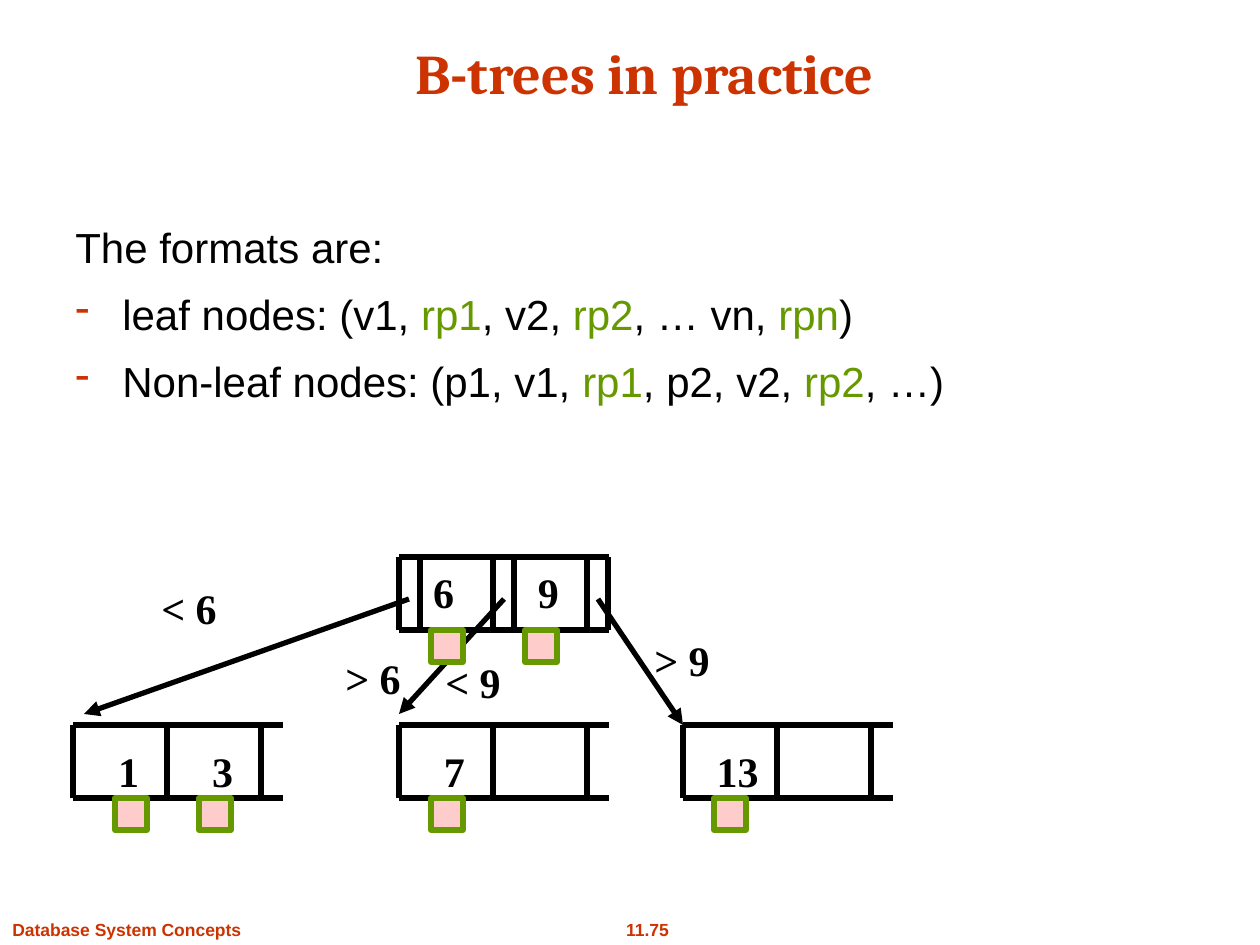
from lxml import etree
from pptx import Presentation
from pptx.dml.color import RGBColor
from pptx.enum.shapes import MSO_CONNECTOR, MSO_SHAPE
from pptx.enum.text import MSO_ANCHOR, PP_ALIGN
from pptx.oxml.ns import qn
from pptx.util import Emu, Pt

LINE, RECT = MSO_CONNECTOR.STRAIGHT, MSO_SHAPE.RECTANGLE
LEFT, MID = PP_ALIGN.LEFT, PP_ALIGN.CENTER
TOP, LOW = MSO_ANCHOR.TOP, MSO_ANCHOR.BOTTOM
SCALE = 914400 / 126
RED, GREEN, BLACK, PINK = "CC3300", "669900", "000000", "FFCCCC"
SERIF = "Times New Roman"
NODE_W, NODE_H, CELL, SLOT = 210, 73, 94, 21


def px(n):
    return Emu(round(n * SCALE))


def color(code):
    return RGBColor.from_string(code)


def style(font, name, size, code, bold):
    font.name, font.size, font.bold = name, Pt(size), bold
    font.color.rgb = color(code)


def frame(box, inset=6, wrap=False, anchor=TOP):
    text = slide.shapes.add_textbox(*map(px, box)).text_frame
    text.word_wrap, text.vertical_anchor = wrap, anchor
    text.margin_top, text.margin_bottom = px(inset), px(0 if inset > 6 else 6)
    return text


def label(box, words, size=24, name=SERIF, code=BLACK, align=MID):
    para = frame(box, 6 + size // 5).paragraphs[0]
    para.text, para.alignment = words, align
    style(para.font, name, size, code, True)


def title(box, words):
    para = frame(box, wrap=True, anchor=LOW).paragraphs[0]
    para.text, para.alignment = words, MID
    style(para.font, "Cambria", 32, RED, True)


def bullet(para):
    props = para._p.get_or_add_pPr()
    props.set("marL", str(px(47)))
    props.set("indent", str(-px(47)))
    tint = etree.SubElement(props, qn("a:buClr"))
    etree.SubElement(tint, qn("a:srgbClr"), val=RED)
    etree.SubElement(props, qn("a:buChar"), char="-")


def body(box, head, items):
    text = frame(box, 11, wrap=True)
    for i, parts in enumerate([[head]] + items):
        para = text.paragraphs[0] if i == 0 else text.add_paragraph()
        style(para.font, "Arial", 24, BLACK, False)
        if i:
            para.space_before = Pt(9.6)
            bullet(para)
        for part in parts:
            run = para.add_run()
            run.text = part
            if part.startswith("rp"):
                run.font.color.rgb = color(GREEN)


def line(x1, y1, x2, y2, arrow=False):
    link = slide.shapes.add_connector(LINE, *map(px, (x1, y1, x2, y2)))
    link.line.width = Pt(3)
    link.line.color.rgb = color(BLACK)
    if arrow:
        etree.SubElement(link.line._get_or_add_ln(), qn("a:tailEnd"), type="triangle")
    etree.SubElement(link._element.spPr, qn("a:effectLst"))


def node(x, y, bars, keys, marks):
    for bar in bars:
        line(x + bar, y, x + bar, y + NODE_H)
    for edge in (y, y + NODE_H):
        line(x, edge, x + NODE_W, edge)
    for words, dx, dy, width in keys:
        label((x + dx, y + dy, width, 63), words)
    for dx in marks:
        mark = slide.shapes.add_shape(RECT, *map(px, (x + dx, y + NODE_H, 32, 32)))
        mark.shadow.inherit = False
        mark.fill.solid()
        mark.fill.fore_color.rgb = color(PINK)
        mark.line.width = Pt(3)
        mark.line.color.rgb = color(GREEN)


def tree(x, y):
    low = y + 168
    mid, far = x + 326, x + 610
    for x1, x2, y2 in ((336, 11, 157), (431, 326, 157), (525, 610, 168)):
        line(x + x1, y + 42, x + x2, y + y2, True)
    slots = [n * CELL + d for n in range(3) for d in (0, SLOT)]
    node(mid, y, slots, [("6", 21, 0, 47), ("9", 126, 0, 47)], [32, 126])
    cells = [n * CELL for n in range(3)]
    node(x, low, cells, [("1", 32, 10, 47), ("3", 126, 10, 47)], [42, 126])
    node(mid, low, cells, [("7", 32, 10, 47)], [32])
    node(far, low, cells, [("13", 21, 10, 67)], [31])
    for words, dx, dy in (("< 6", 75, 16), ("> 6", 259, 86),
                          ("< 9", 359, 89), ("> 9", 568, 68)):
        label((x + dx, y + dy, 82, 64), words)


def footer(y):
    label((612, y, 71, 34), "11.75", 10, "Arial", RED)
    label((0, y, 255, 34), "Database System Concepts", 10, "Arial", RED, LEFT)


deck = Presentation()
deck.slide_width, deck.slide_height = px(1260), px(945)
slide = deck.slides.add_slide(deck.slide_layouts[6])
footer(911)
title((88, 28, 1113, 84), "B-trees in practice")
body((63, 210, 1134, 357), "The formats are:", [
    ["leaf nodes: (v1, ", "rp1", ", v2, ", "rp2", ", … vn, ", "rpn", ")"],
    ["Non-leaf nodes: (p1, v1, ", "rp1", ", p2, v2, ", "rp2", ", …)"],
])
tree(73, 557)
deck.save("out.pptx")
